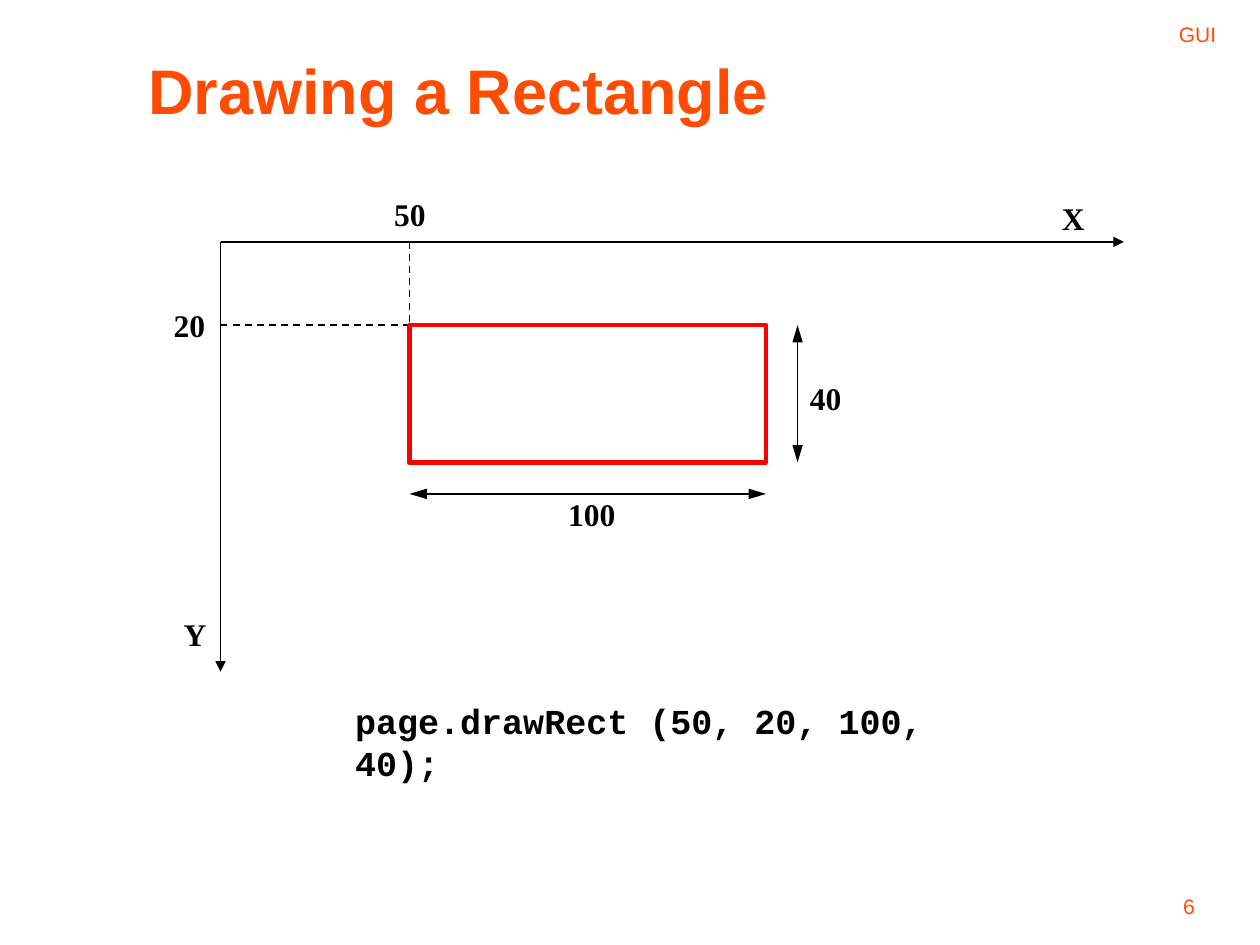
from dataclasses import dataclass

from lxml import etree
from pptx import Presentation
from pptx.dml.color import RGBColor
from pptx.enum.dml import MSO_LINE
from pptx.enum.shapes import MSO_CONNECTOR, MSO_SHAPE
from pptx.enum.text import MSO_ANCHOR, PP_ALIGN
from pptx.oxml.ns import qn
from pptx.util import Inches, Pt

DASH = MSO_LINE.DASH
STRAIGHT = MSO_CONNECTOR.STRAIGHT
RECTANGLE = MSO_SHAPE.RECTANGLE
TOP, MIDDLE, BOTTOM = MSO_ANCHOR.TOP, MSO_ANCHOR.MIDDLE, MSO_ANCHOR.BOTTOM
LEFT, RIGHT = PP_ALIGN.LEFT, PP_ALIGN.RIGHT


@dataclass(frozen=True)
class Theme:
    accent: RGBColor = RGBColor(0xFF, 0x4C, 0x00)
    ink: RGBColor = RGBColor(0, 0, 0)
    outline: RGBColor = RGBColor(0xFF, 0, 0)
    heading_font: str = "Arial"
    label_font: str = "Times New Roman"
    code_font: str = "Courier New"
    title_size: int = 36
    code_size: int = 20
    label_size: int = 18
    small_size: int = 12


def write_text(frame, text, font, size, color, bold=False, align=LEFT):
    para = frame.paragraphs[0]
    para.alignment = align
    span = para.add_run()
    span.text = text
    span.font.name = font
    span.font.size = Pt(size)
    span.font.bold = bold
    span.font.color.rgb = color


class Page:
    def __init__(self, deck, theme):
        self.theme = theme
        self.shapes = deck.slides.add_slide(deck.slide_layouts[6]).shapes

    def text(self, text, left, top, width, height, anchor=TOP, wrap=True, **style):
        box = self.shapes.add_textbox(
            Inches(left), Inches(top), Inches(width), Inches(height))
        box.text_frame.word_wrap = wrap
        box.text_frame.vertical_anchor = anchor
        write_text(box.text_frame, text, **style)

    def furniture(self, text, left, top, width):
        self.text(text, left, top, width, 0.42, anchor=BOTTOM, align=RIGHT,
                  font=self.theme.heading_font, size=self.theme.small_size,
                  color=self.theme.accent)

    def label(self, text, left, top, width):
        self.text(text, left, top, width, 0.4, wrap=False, bold=True,
                  font=self.theme.label_font, size=self.theme.label_size,
                  color=self.theme.ink)

    def line(self, start, end, dash=None, arrows=(), length="med"):
        line = self.shapes.add_connector(
            STRAIGHT, *(Inches(value) for value in (*start, *end)))
        line.line.color.rgb = self.theme.ink
        line.line.width = Pt(1)
        if dash:
            line.line.dash_style = dash
        outline = line.line._get_or_add_ln()
        for end_name in arrows:
            etree.SubElement(outline, qn(f"a:{end_name}"),
                             type="triangle", w="med", len=length)
        etree.SubElement(line._element.spPr, qn("a:effectLst"))

    def axis(self, start, end):
        self.line(start, end, arrows=("tailEnd",))

    def dimension(self, start, end):
        self.line(start, end, arrows=("headEnd", "tailEnd"), length="lg")

    def rectangle(self, left, top, right, bottom):
        shape = self.shapes.add_shape(
            RECTANGLE, Inches(left), Inches(top),
            Inches(right - left), Inches(bottom - top))
        shape.shadow.inherit = False
        shape.fill.background()
        shape.line.color.rgb = self.theme.outline
        shape.line.width = Pt(2.5)


def main():
    deck = Presentation()
    deck.slide_width, deck.slide_height = Inches(10), Inches(7.5)
    theme = Theme()
    page = Page(deck, theme)

    page.furniture("GUI", 6.17, 0, 3.58)
    page.furniture("6", 7.5, 6.92, 2.08)
    page.text("Drawing a Rectangle", 1.08, 0.33, 8.67, 0.75, anchor=MIDDLE,
              font=theme.heading_font, size=theme.title_size,
              color=theme.accent, bold=True)

    origin_x, origin_y = 1.75, 1.92
    left, top, right, bottom = 3.25, 2.58, 6.08, 3.67
    gap = 0.25

    page.axis((origin_x, origin_y), (8.92, origin_y))
    page.axis((origin_x, origin_y), (origin_x, 5.33))
    page.line((left, origin_y), (left, top), dash=DASH)
    page.line((origin_x, top), (left, top), dash=DASH)
    page.rectangle(left, top, right, bottom)
    page.dimension((left, bottom + gap), (right, bottom + gap))
    page.dimension((right + gap, top), (right + gap, bottom))

    for text, label_left, label_top, width in (
        ("X", 8.33, 1.53, 0.38),
        ("Y", 1.36, 4.83, 0.38),
        ("50", 3.03, 1.5, 0.45),
        ("20", 1.28, 2.38, 0.45),
        ("100", 4.41, 3.88, 0.58),
        ("40", 6.33, 2.96, 0.45),
    ):
        page.label(text, label_left, label_top, width)

    page.text("page.drawRect (50, 20, 100, 40);", 2.72, 5.5, 5.5, 0.43,
              font=theme.code_font, size=theme.code_size,
              color=theme.ink, bold=True)

    deck.save("out.pptx")


if __name__ == "__main__":
    main()
